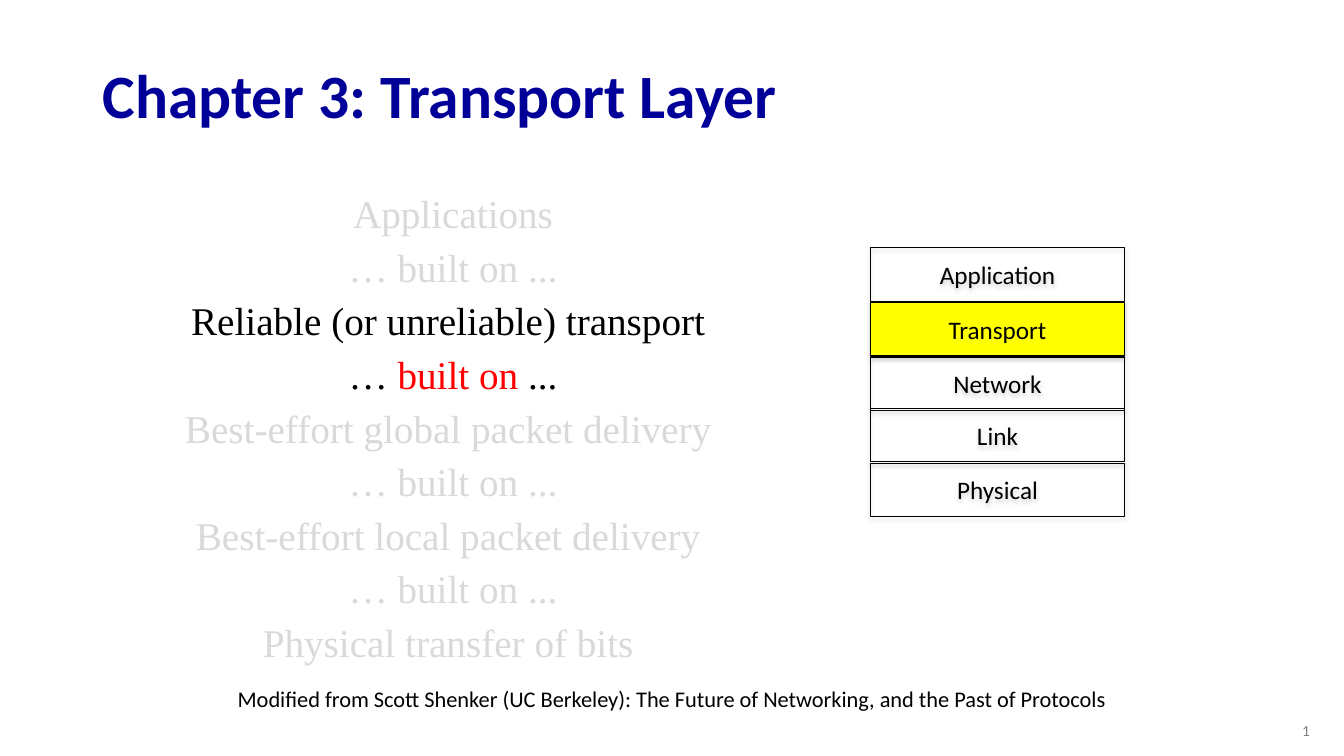
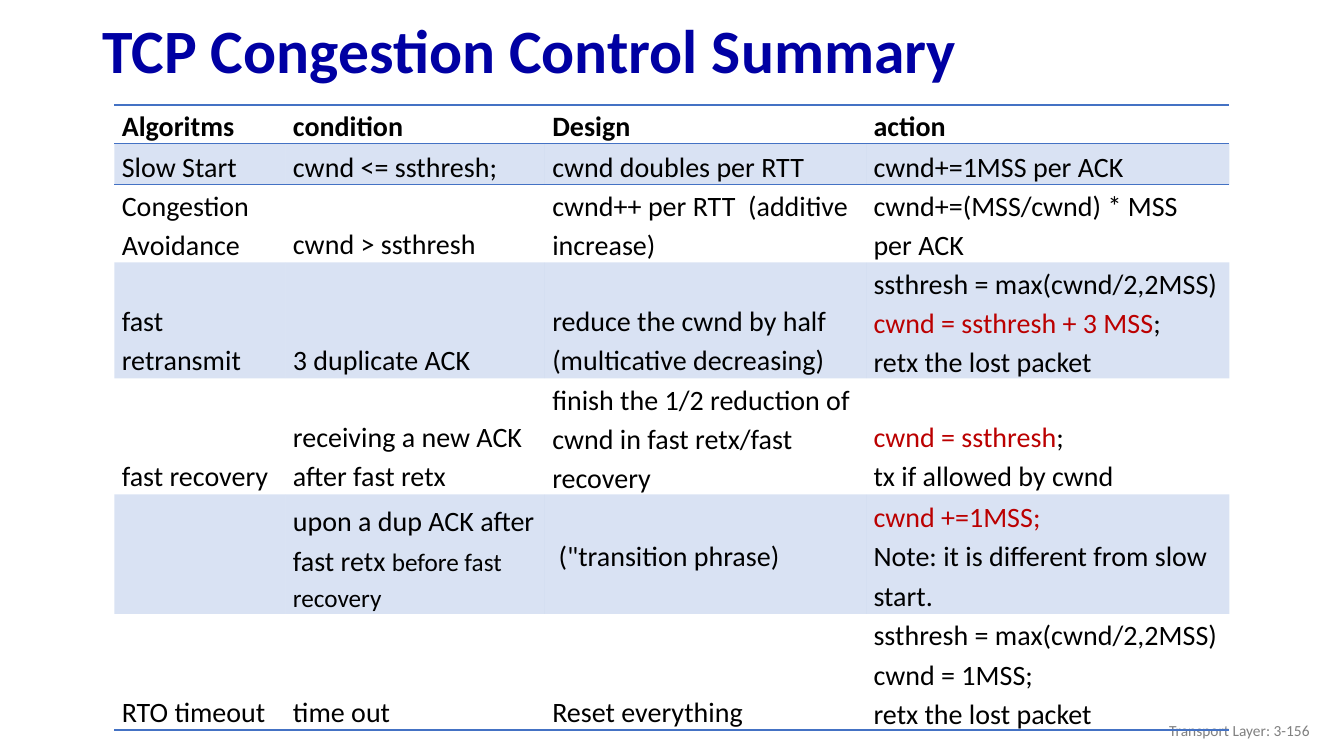
from dataclasses import dataclass
from typing import NamedTuple

from lxml import etree
from pptx import Presentation
from pptx.dml.color import RGBColor
from pptx.enum.shapes import MSO_SHAPE as Preset
from pptx.enum.text import MSO_ANCHOR as Anchor, PP_ALIGN as Align
from pptx.oxml import parse_xml
from pptx.oxml.ns import nsdecls, qn
from pptx.util import Pt

EMU_PER_PX = 9525
NO_GRID_STYLE = "{2D5ABB26-0587-4C30-8999-92F81FD0307C}"


@dataclass(frozen=True)
class Theme:
    sans: str = "Calibri"
    serif: str = "Times New Roman"
    black: str = "000000"
    navy: str = "000099"
    blue: str = "0000A3"
    faded: str = "D9D9D9"
    grey: str = "808080"
    red: str = "FF0000"
    dark_red: str = "BB0000"
    yellow: str = "FFFF00"
    accent: str = "4472C4"
    title: int = 44
    stack: int = 28
    table: int = 20
    label: int = 18
    credit: int = 16
    footer: int = 11


THEME = Theme()


class Box(NamedTuple):
    left: int
    top: int
    width: int
    height: int

    def emu(self) -> list[int]:
        return [px(length) for length in self]


class Style(NamedTuple):
    size: int
    color: str = THEME.black
    face: str = THEME.sans
    bold: bool = False
    align: Align = Align.LEFT
    line: float = 1.0
    before: int = 0


class Run(NamedTuple):
    text: str
    color: str | None = None
    size: int | None = None


class Line(NamedTuple):
    runs: tuple[Run, ...]
    color: str | None = None


class Layer(NamedTuple):
    name: str
    top: int
    fill: str | None = None


def px(length: int) -> int:
    return length * EMU_PER_PX


def plain(text: str, color: str | None = None) -> Line:
    return Line((Run(text),), color)


def write(frame, lines: list[Line], style: Style) -> None:
    """Fill a text frame, with one paragraph per line."""
    for index, line in enumerate(lines):
        paragraph = frame.add_paragraph() if index else frame.paragraphs[0]
        paragraph.alignment = style.align
        paragraph.line_spacing = style.line
        paragraph.space_before = Pt(style.before if index else 0)
        font = paragraph.font
        font.name, font.size, font.bold = style.face, Pt(style.size), style.bold
        font.color.rgb = RGBColor.from_string(line.color or style.color)
        for part in line.runs:
            run = paragraph.add_run()
            run.text = part.text
            if part.color:
                run.font.color.rgb = RGBColor.from_string(part.color)
            if part.size:
                run.font.size = Pt(part.size)


def add_text(slide, box: Box, lines: list[Line], style: Style,
             anchor: Anchor = Anchor.TOP) -> None:
    frame = slide.shapes.add_textbox(*box.emu()).text_frame
    frame.word_wrap = True
    frame.vertical_anchor = anchor
    write(frame, lines, style)


def add_titled_slide(deck, title: str, top: int, color: str, footer: str):
    """Add a slide with the shared title and footer."""
    slide = deck.slides.add_slide(deck.slide_layouts[5])
    heading = slide.shapes.title
    heading.left, heading.top, heading.width, heading.height = Box(88, top, 1104, 94).emu()
    heading.text_frame.vertical_anchor = Anchor.MIDDLE
    write(heading.text_frame, [plain(title)], Style(THEME.title, color, bold=True, line=0.9))
    add_text(slide, Box(969, 677, 288, 38), [plain(footer)],
             Style(THEME.footer, THEME.grey, align=Align.RIGHT), Anchor.MIDDLE)
    return slide


# Layer stack
BUILT_ON = "… built on ..."
SERVICES = [
    plain("Applications"),
    plain(BUILT_ON),
    plain("Reliable (or unreliable) transport ", THEME.black),
    Line((Run("… "), Run("built on ", THEME.red), Run("...")), THEME.black),
    plain("Best-effort global packet delivery "),
    plain(BUILT_ON),
    plain("Best-effort local packet delivery "),
    plain(BUILT_ON),
    plain("Physical transfer of bits "),
]
LAYERS = [
    Layer("Application", 236),
    Layer("Transport", 288, THEME.yellow),
    Layer("Network", 340),
    Layer("Link", 389),
    Layer("Physical", 441),
]


def add_layer(slide, layer: Layer) -> None:
    block = slide.shapes.add_shape(Preset.RECTANGLE, *Box(829, layer.top, 242, 51).emu())
    if layer.fill:
        block.fill.solid()
        block.fill.fore_color.rgb = RGBColor.from_string(layer.fill)
    else:
        block.fill.background()
    block.line.color.rgb = RGBColor.from_string(THEME.black)
    block.line.width = Pt(0.75)
    block.shadow.inherit = False
    # Soft shadow straight below
    block._element.spPr.find(qn("a:effectLst")).append(parse_xml(
        f'<a:outerShdw {nsdecls("a")} blurRad="40000" dist="23000" dir="5400000" '
        f'rotWithShape="0"><a:srgbClr val="{THEME.grey}"><a:alpha val="35000"/>'
        '</a:srgbClr></a:outerShdw>'))
    block.text_frame.vertical_anchor = Anchor.MIDDLE
    write(block.text_frame, [plain(layer.name)], Style(THEME.label, align=Align.CENTER))


def build_chapter(deck) -> None:
    slide = add_titled_slide(deck, "Chapter 3: Transport Layer", 47, THEME.navy, "1")
    add_text(slide, Box(88, 181, 687, 457), SERVICES,
             Style(THEME.stack, THEME.faded, THEME.serif, align=Align.CENTER,
                   line=0.9, before=8))
    for layer in LAYERS:
        add_layer(slide, layer)
    credit = ("Modified from Scott Shenker (UC Berkeley): "
              "The Future of Networking, and the Past of Protocols")
    add_text(slide, Box(194, 648, 892, 35), [plain(credit)],
             Style(THEME.credit, align=Align.CENTER))


# Congestion control table: a cell is a text or a list of lines
COLUMN_WIDTHS = [163, 247, 306, 346]
ROW_HEIGHTS = [36, 39, 74, 110, 110, 114, 110]
TRANSITION = " (\"transition phrase)"
SUMMARY = [
    ["Algoritms", "condition", "Design", "action"],
    ["Slow Start", "cwnd <= ssthresh;", "cwnd doubles per RTT", "cwnd+=1MSS per ACK"],
    ["Congestion Avoidance", "cwnd > ssthresh", "cwnd++ per RTT  (additive increase)",
     "cwnd+=(MSS/cwnd) * MSS per ACK"],
    ["fast retransmit", "3 duplicate ACK", "reduce the cwnd by half (multicative decreasing)",
     [plain("ssthresh = max(cwnd/2,2MSS)"),
      Line((Run("cwnd = ssthresh + 3 MSS", THEME.dark_red), Run(";"))),
      plain("retx the lost packet")]],
    ["fast recovery", "receiving a new ACK after fast retx",
     "finish the 1/2 reduction of cwnd in fast retx/fast recovery",
     [Line((Run("cwnd = ssthresh", THEME.dark_red), Run(";"))),
      plain("tx if allowed by cwnd")]],
    ["",
     [Line((Run("upon a dup ACK after fast retx "),
            Run("before fast recovery", size=THEME.label)))],
     TRANSITION,
     [plain("cwnd +=1MSS;", THEME.dark_red),
      plain("Note: it is different from slow start.")]],
    ["RTO timeout", "time out", "Reset everything",
     [plain("ssthresh = max(cwnd/2,2MSS) cwnd = 1MSS;"),
      plain("retx the lost packet")]],
]


def add_rule(cell, edge: str) -> None:
    """Draw a border on the top (lnT) or bottom (lnB) of a cell."""
    rule = etree.SubElement(cell._tc.get_or_add_tcPr(), qn(f"a:{edge}"), w=str(Pt(1)))
    fill = etree.SubElement(rule, qn("a:solidFill"))
    etree.SubElement(fill, qn("a:srgbClr"), val=THEME.accent)


def shade(cell, banded: bool) -> None:
    if not banded:
        cell.fill.background()
        return
    cell.fill.solid()
    cell.fill.fore_color.rgb = RGBColor.from_string(THEME.accent)
    color = next(cell._tc.tcPr.find(qn("a:solidFill")).iter(qn("a:srgbClr")))
    etree.SubElement(color, qn("a:alpha"), val="20000")


def build_summary(deck) -> None:
    slide = add_titled_slide(deck, "TCP Congestion Control Summary", 4, THEME.blue,
                             "Transport Layer: 3-156")
    box = Box(109, 100, sum(COLUMN_WIDTHS), sum(ROW_HEIGHTS))
    table = slide.shapes.add_table(len(ROW_HEIGHTS), len(COLUMN_WIDTHS), *box.emu()).table
    table.first_row = table.horz_banding = False
    table._tbl.tblPr.find(qn("a:tableStyleId")).text = NO_GRID_STYLE
    for column, width in zip(table.columns, COLUMN_WIDTHS):
        column.width = px(width)
    for row, height in zip(table.rows, ROW_HEIGHTS):
        row.height = px(height)

    last = len(SUMMARY) - 1
    for r, entries in enumerate(SUMMARY):
        for c, entry in enumerate(entries):
            cell = table.cell(r, c)
            cell.margin_left = cell.margin_right = px(7)
            cell.margin_top = cell.margin_bottom = 0
            cell.vertical_anchor = Anchor.MIDDLE if entry == TRANSITION else Anchor.BOTTOM
            if r in (0, 1):
                add_rule(cell, "lnT")
            if r in (0, last):
                add_rule(cell, "lnB")
            shade(cell, r % 2 == 1)
            if entry:
                lines = [plain(entry)] if isinstance(entry, str) else entry
                write(cell.text_frame, lines, Style(THEME.table, bold=r == 0, line=1.15))


def main() -> None:
    deck = Presentation()
    deck.slide_width, deck.slide_height = px(1280), px(720)
    build_chapter(deck)
    build_summary(deck)
    deck.save("out.pptx")


if __name__ == "__main__":
    main()
